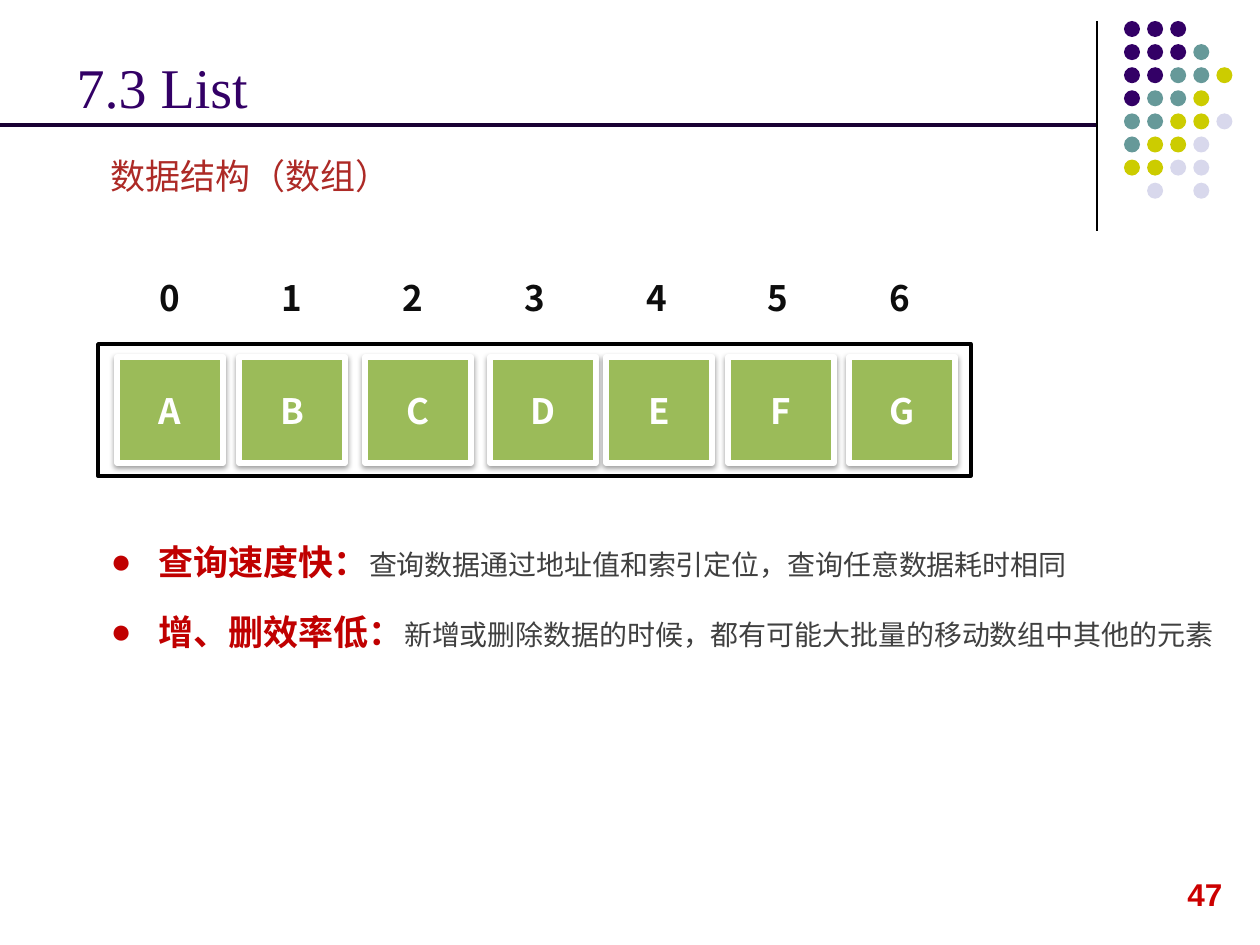
from lxml import etree
from pptx import Presentation
from pptx.dml.color import RGBColor
from pptx.enum.shapes import MSO_CONNECTOR, MSO_SHAPE
from pptx.enum.text import MSO_ANCHOR, MSO_AUTO_SIZE, PP_ALIGN
from pptx.oxml.ns import qn
from pptx.util import Emu, Pt

PX = 914400 // 126
RECTANGLE, OVAL = MSO_SHAPE.RECTANGLE, MSO_SHAPE.OVAL
STRAIGHT = MSO_CONNECTOR.STRAIGHT
MIDDLE, BOTTOM = MSO_ANCHOR.MIDDLE, MSO_ANCHOR.BOTTOM
CENTER = PP_ALIGN.CENTER
NO_AUTOFIT = MSO_AUTO_SIZE.NONE

SANS, CJK, SERIF = "Arial", "Noto Sans CJK JP", "Times New Roman"

TITLE = "7.3 List"
SUBTITLE = "数据结构（数组）"
PAGE_NUMBER = "47"
POINTS = [
    ("查询速度快：", "查询数据通过地址值和索引定位，查询任意数据耗时相同"),
    ("增、删效率低：", "新增或删除数据的时候，都有可能大批量的移动数组中其他的元素"),
]
# Array elements with their left edges
ELEMENTS = [("A", 117), ("B", 239), ("C", 365), ("D", 490),
            ("E", 606), ("F", 728), ("G", 849)]
CELL_SIZE, CELL_TOP = 106, 357
INDEX_LEFT, INDEX_STEP, INDEX_TOP = 117, 121.6, 244

DOT_COLORS = {"P": "330066", "T": "669999", "Y": "CCCC00", "L": "D8D8EC"}
DOT_ROWS = ["PPP", "PPPT", "PPTTY", "PTTY", "TTYYL", "TYYL", "YYLL", " L L"]
DOT_LEFT, DOT_TOP, DOT_STEP, DOT_SIZE = 1124, 21, 23.1, 16


def px(*lengths):
    return [Emu(round(length * PX)) for length in lengths]


def rgb(color):
    return RGBColor.from_string(color)


def format_run(run, size, color, name, bold=False):
    font = run.font
    font.size, font.bold, font.name = Pt(size), bold, name
    font.color.rgb = rgb(color)
    if name == CJK:
        etree.SubElement(run._r.get_or_add_rPr(), qn("a:ea"), typeface=name)


def write(shape, text, size, color, name, bold=False, anchor=MIDDLE, align=None):
    frame = shape.text_frame
    frame.text = text
    frame.word_wrap = True
    frame.auto_size = NO_AUTOFIT
    frame.vertical_anchor = anchor
    paragraph = frame.paragraphs[0]
    paragraph.alignment = align
    format_run(paragraph.runs[0], size, color, name, bold)


def place(shape, *box):
    shape.left, shape.top, shape.width, shape.height = px(*box)


def add_text(slide, box, *text_format, **options):
    write(slide.shapes.add_textbox(*px(*box)), *text_format, **options)


def add_shape(slide, kind, box, fill=None, line=None, line_width=0):
    shape = slide.shapes.add_shape(kind, *px(*box))
    shape.shadow.inherit = False
    if fill:
        shape.fill.solid()
        shape.fill.fore_color.rgb = rgb(fill)
    else:
        shape.fill.background()
    if line:
        shape.line.color.rgb = rgb(line)
        shape.line.width = Pt(line_width)
    else:
        shape.line.fill.background()
    return shape


def add_line(slide, ends, color, width):
    connector = slide.shapes.add_connector(STRAIGHT, *px(*ends))
    connector.line.color.rgb = rgb(color)
    connector.line.width = Pt(width)
    etree.SubElement(connector._element.spPr, qn("a:effectLst"))


def add_soft_shadow(shape):
    effects = shape._element.spPr.find(qn("a:effectLst"))
    shadow = etree.SubElement(effects, qn("a:outerShdw"), blurRad="40000",
                              dist="20000", dir="5400000", rotWithShape="0")
    color = etree.SubElement(shadow, qn("a:srgbClr"), val="000000")
    etree.SubElement(color, qn("a:alpha"), val="38000")


def add_bullet(paragraph, indent):
    properties = paragraph._p.get_or_add_pPr()
    properties.set("marL", str(indent * PX))
    properties.set("indent", str(-indent * PX))
    etree.SubElement(properties, qn("a:buFont"), typeface=SANS)
    etree.SubElement(properties, qn("a:buChar"), char="●")


def add_decoration(slide):
    add_line(slide, (1097, 21, 1097, 231), "000000", 0.75)
    for row, colors in enumerate(DOT_ROWS):
        for column, key in enumerate(colors):
            if key in DOT_COLORS:
                box = (DOT_LEFT + column * DOT_STEP, DOT_TOP + row * DOT_STEP,
                       DOT_SIZE, DOT_SIZE)
                add_shape(slide, OVAL, box, DOT_COLORS[key])
    add_text(slide, (1175, 869, 61, 50), PAGE_NUMBER, 18, "CC0000", SANS, bold=True)


def add_heading(slide):
    title = slide.shapes.title
    place(title, 64, 26, 1040, 100)
    write(title, TITLE, 32, "330066", SERIF, anchor=BOTTOM, align=PP_ALIGN.LEFT)
    add_line(slide, (0, 125, 1096, 125), "190033", 2.25)
    add_text(slide, (98, 139, 314, 72), SUBTITLE, 20, "AD2A26", SANS)


def add_array(slide):
    add_shape(slide, RECTANGLE, (98, 344, 873, 132), line="000000", line_width=2)
    for index, (letter, left) in enumerate(ELEMENTS):
        cell = add_shape(slide, RECTANGLE, (left, CELL_TOP, CELL_SIZE, CELL_SIZE),
                         "9BBB59", "FFFFFF", 3)
        add_soft_shadow(cell)
        write(cell, letter, 20, "FFFFFF", CJK, bold=True, align=CENTER)
        label_box = (INDEX_LEFT + index * INDEX_STEP, INDEX_TOP, CELL_SIZE, CELL_SIZE)
        add_text(slide, label_box, str(index), 20, "0D0D0D", CJK,
                 bold=True, align=CENTER)


def add_points(slide):
    body = slide.placeholders[1]
    place(body, 98, 512, 1162, 142)
    frame = body.text_frame
    frame.auto_size = NO_AUTOFIT
    frame.margin_top = frame.margin_bottom = 0
    for index, (heading, detail) in enumerate(POINTS):
        paragraph = frame.add_paragraph() if index else frame.paragraphs[0]
        add_bullet(paragraph, 48)
        paragraph.line_spacing = Pt(40.3)
        paragraph.space_before = Pt(0)
        for text, size, color, bold in ((heading, 20, "C00000", True),
                                        (detail, 16, "404040", False)):
            run = paragraph.add_run()
            run.text = text
            format_run(run, size, color, CJK, bold)


def main():
    presentation = Presentation()
    presentation.slide_width, presentation.slide_height = px(1260, 945)
    slide = presentation.slides.add_slide(presentation.slide_layouts[1])
    add_decoration(slide)
    add_heading(slide)
    add_array(slide)
    add_points(slide)
    presentation.save("out.pptx")


if __name__ == "__main__":
    main()
